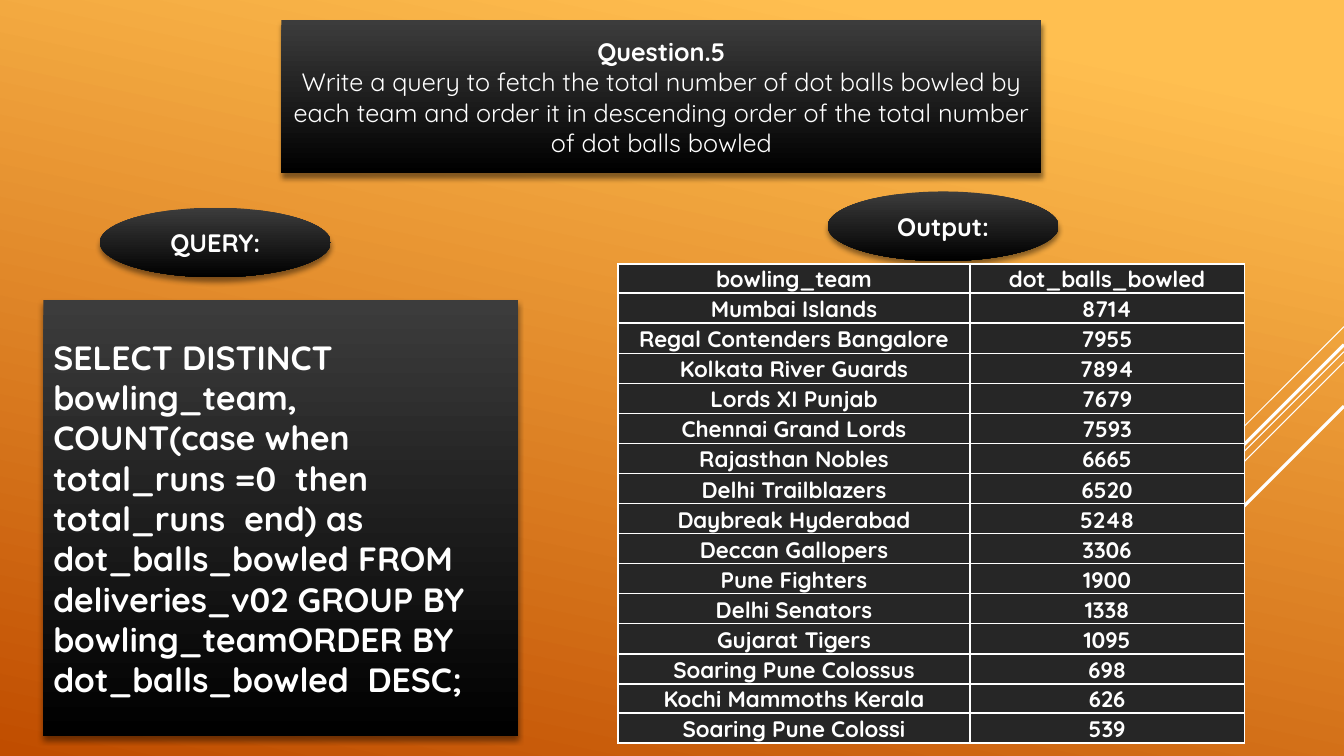
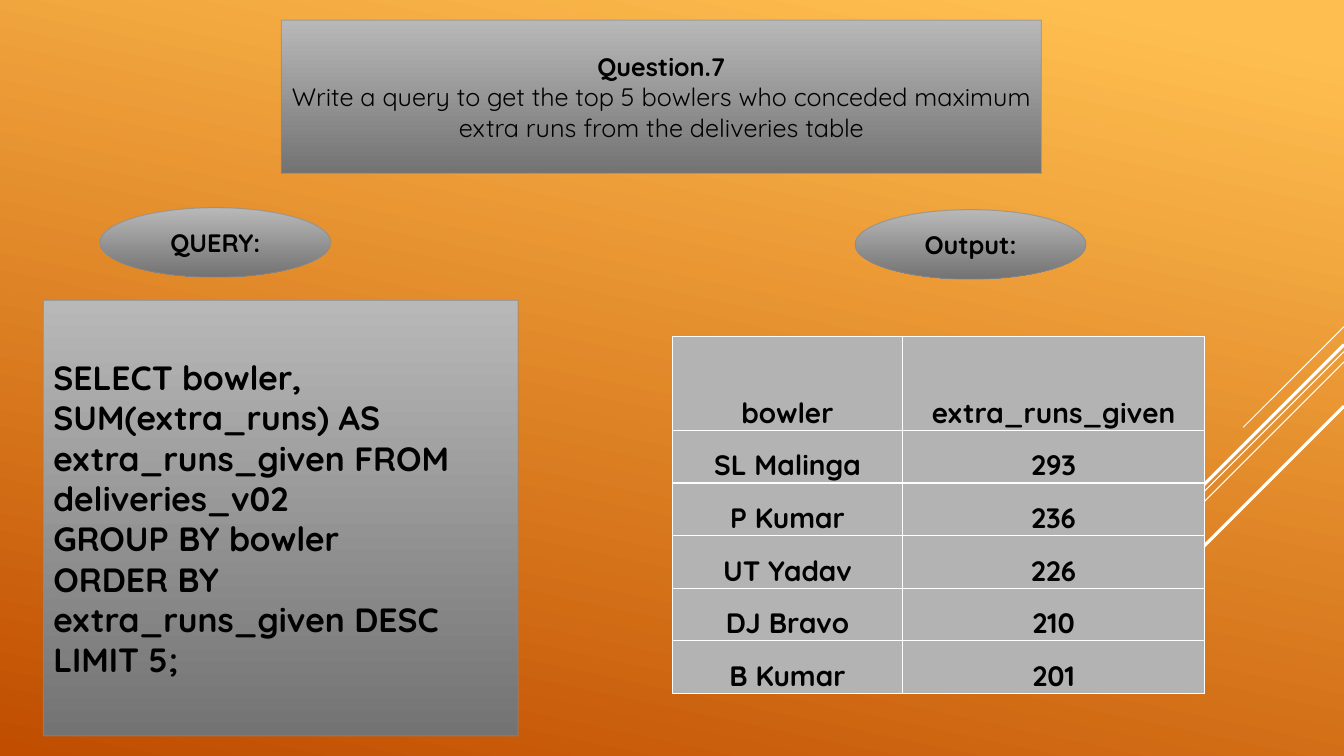
from dataclasses import dataclass

from lxml.etree import SubElement
from pptx import Presentation
from pptx.dml.color import RGBColor
from pptx.enum.shapes import MSO_CONNECTOR as Connector, MSO_SHAPE as Shape
from pptx.enum.text import MSO_ANCHOR as Anchor, PP_ALIGN as Align
from pptx.oxml.ns import qn
from pptx.util import Inches, Pt


@dataclass(frozen=True)
class Theme:
    width: int = Inches(13.33)
    height: int = Inches(7.5)
    font: str = "Quicksand"
    label_size: int = 18
    query_size: int = 24
    background: tuple = ("FFBF50", "C04D00")
    background_angle: int = 258
    downward: int = 270
    line: str = "FFFFFF"
    thin: float = 0.75
    thick: float = 2.25
    cell_border: int = 1


@dataclass(frozen=True)
class Panel:
    gradient: tuple
    text: str
    cell: str
    outline: str = ""


THEME = Theme()
DARK = Panel(("3C3C3C", "000000"), "FFFFFF", "262626")
GREY = Panel(("B8B8B8", "737373"), "000000", "B3B3B3", "898989")

HEADING_BOX = (20.93, 2.67, 56.56, 20.27)
QUERY_BOX = (3.23, 39.73, 35.33, 57.6)
LABEL_SIZE = (17.18, 9.2)
QUERY_LABEL = (7.43, 27.47)

DIAGONALS = (
    (43.2, 13.33, THEME.thin),
    (46.53, 43.47, THEME.thin),
    (47.87, 27.73, THEME.thin),
    (45.6, 25.47, THEME.thick),
    (53.73, 18.53, THEME.thick),
)

DOT_BALLS = (
    ("bowling_team", "dot_balls_bowled"),
    ("Mumbai Islands", "8714"),
    ("Regal Contenders Bangalore", "7955"),
    ("Kolkata River Guards", "7894"),
    ("Lords XI Punjab", "7679"),
    ("Chennai Grand Lords", "7593"),
    ("Rajasthan Nobles", "6665"),
    ("Delhi Trailblazers", "6520"),
    ("Daybreak Hyderabad", "5248"),
    ("Deccan Gallopers", "3306"),
    ("Pune Fighters", "1900"),
    ("Delhi Senators", "1338"),
    ("Gujarat Tigers", "1095"),
    ("Soaring Pune Colossus", "698"),
    ("Kochi Mammoths Kerala", "626"),
    ("Soaring Pune Colossi", "539"),
)

EXTRA_RUNS = (
    ("bowler", "extra_runs_given"),
    ("SL Malinga", "293"),
    ("P Kumar", "236"),
    ("UT Yadav", "226"),
    ("DJ Bravo", "210"),
    ("B Kumar", "201"),
)


def across(percent):
    return round(THEME.width * percent / 100)


def down(percent):
    return round(THEME.height * percent / 100)


def place(left, top, width, height):
    return across(left), down(top), across(width), down(height)


def color(value):
    return RGBColor.from_string(value)


def fill_gradient(fill, colors, angle, start=0):
    fill.gradient()
    fill.gradient_angle = angle
    for stop, value, position in zip(fill.gradient_stops, colors, (start, 1)):
        stop.color.rgb = color(value)
        stop.position = position


def add_shadow(shape):
    effects = shape.element.spPr.find(qn("a:effectLst"))
    shadow = SubElement(effects, qn("a:outerShdw"), blurRad=str(Pt(4)),
                        dist=str(Pt(3)), dir="5400000", rotWithShape="0")
    shade = SubElement(shadow, qn("a:srgbClr"), val="000000")
    SubElement(shade, qn("a:alpha"), val="46000")


def set_outline(shape, value):
    shape.line.color.rgb = color(value)
    shape.line.width = Pt(THEME.thin)
    for tint in shape.element.spPr.xpath("a:ln//a:srgbClr"):
        SubElement(tint, qn("a:alpha"), val="60000")


def style(paragraph, size, value, align=Align.CENTER, bold=True):
    paragraph.alignment = align
    paragraph.font.name = THEME.font
    paragraph.font.size = Pt(size)
    paragraph.font.bold = bold
    paragraph.font.color.rgb = color(value)


def add_panel(slide, kind, box, panel, lines, size=THEME.label_size,
              align=Align.CENTER, bold_lines=None):
    shape = slide.shapes.add_shape(kind, *place(*box))
    shape.shadow.inherit = False
    fill_gradient(shape.fill, panel.gradient, THEME.downward)
    if panel.outline:
        set_outline(shape, panel.outline)
    else:
        shape.line.fill.background()
        add_shadow(shape)
    frame = shape.text_frame
    frame.word_wrap = True
    frame.vertical_anchor = Anchor.MIDDLE
    frame.text = "\n".join(lines)
    for index, paragraph in enumerate(frame.paragraphs):
        bold = bold_lines is None or index < bold_lines
        style(paragraph, size, panel.text, align, bold)


def add_label(slide, position, panel, text):
    add_panel(slide, Shape.OVAL, position + LABEL_SIZE, panel, [text])


def add_diagonals(slide):
    for top, length, weight in DIAGONALS:
        run = down(length)
        line = slide.shapes.add_connector(
            Connector.STRAIGHT, THEME.width, down(top),
            THEME.width - run, down(top) + run)
        line.line.color.rgb = color(THEME.line)
        line.line.width = Pt(weight)
        SubElement(line.element.spPr, qn("a:effectLst"))


def add_borders(cell):
    properties = cell._tc.get_or_add_tcPr()
    for index, side in enumerate(("lnL", "lnR", "lnT", "lnB")):
        border = SubElement(properties, qn(f"a:{side}"),
                            w=str(Pt(THEME.cell_border)))
        fill = SubElement(border, qn("a:solidFill"))
        SubElement(fill, qn("a:srgbClr"), val=THEME.line)
        properties.insert(index, border)


def format_cell(cell, text, panel, size):
    cell.text = text
    cell.vertical_anchor = Anchor.BOTTOM
    cell.margin_left = cell.margin_right = cell.margin_top = Inches(0.01)
    cell.margin_bottom = 0
    cell.fill.solid()
    cell.fill.fore_color.rgb = color(panel.cell)
    add_borders(cell)
    style(cell.text_frame.paragraphs[0], size, panel.text)


def add_results(slide, position, columns, rows, panel, records, size):
    box = position + (sum(columns), sum(rows))
    table = slide.shapes.add_table(
        len(rows), len(columns), *place(*box)).table
    table.first_row = table.horz_banding = False
    for column, width in zip(table.columns, columns):
        column.width = across(width)
    for row, height, record in zip(table.rows, rows, records):
        row.height = down(height)
        for cell, text in zip(row.cells, record):
            format_cell(cell, text, panel, size)


def add_question(presentation, panel, number, question, query,
                 output_label, glow):
    slide = presentation.slides.add_slide(presentation.slide_layouts[6])
    fill_gradient(slide.background.fill, THEME.background,
                  THEME.background_angle, glow)
    add_diagonals(slide)
    add_label(slide, QUERY_LABEL, panel, "QUERY:")
    add_panel(slide, Shape.RECTANGLE, HEADING_BOX, panel,
              [f"Question.{number}", question], bold_lines=1)
    add_label(slide, output_label, panel, "Output:")
    add_panel(slide, Shape.RECTANGLE, QUERY_BOX, panel, query,
              THEME.query_size, Align.LEFT)
    return slide


def main():
    presentation = Presentation()
    presentation.slide_width = THEME.width
    presentation.slide_height = THEME.height

    slide = add_question(
        presentation, DARK, 5,
        "Write a query to fetch the total number of dot balls bowled by each "
        "team and order it in descending order of the total number of dot "
        "balls bowled",
        ["SELECT DISTINCT bowling_team, COUNT(case when total_runs =0  then "
         "total_runs  end) as dot_balls_bowled FROM deliveries_v02 GROUP BY "
         "bowling_teamORDER BY dot_balls_bowled  DESC;"],
        output_label=(61.59, 25.33), glow=0.1)
    add_results(slide, (45.99, 34.93), (26.18, 20.41),
                [3.7] + [3.98] * 13 + [3.7, 3.98], DARK, DOT_BALLS, size=16)

    slide = add_question(
        presentation, GREY, 7,
        "Write a query to get the top 5 bowlers who conceded maximum extra "
        "runs from the deliveries table",
        ["SELECT bowler,",
         "SUM(extra_runs) AS extra_runs_given FROM deliveries_v02",
         "GROUP BY bowler",
         "ORDER BY extra_runs_given DESC LIMIT 5;"],
        output_label=(63.62, 27.73), glow=0.05)
    add_results(slide, (50.04, 44.53), (17.1, 22.51),
                [12.4] + [6.96] * 5, GREY, EXTRA_RUNS, size=20)

    presentation.save("out.pptx")


if __name__ == "__main__":
    main()
